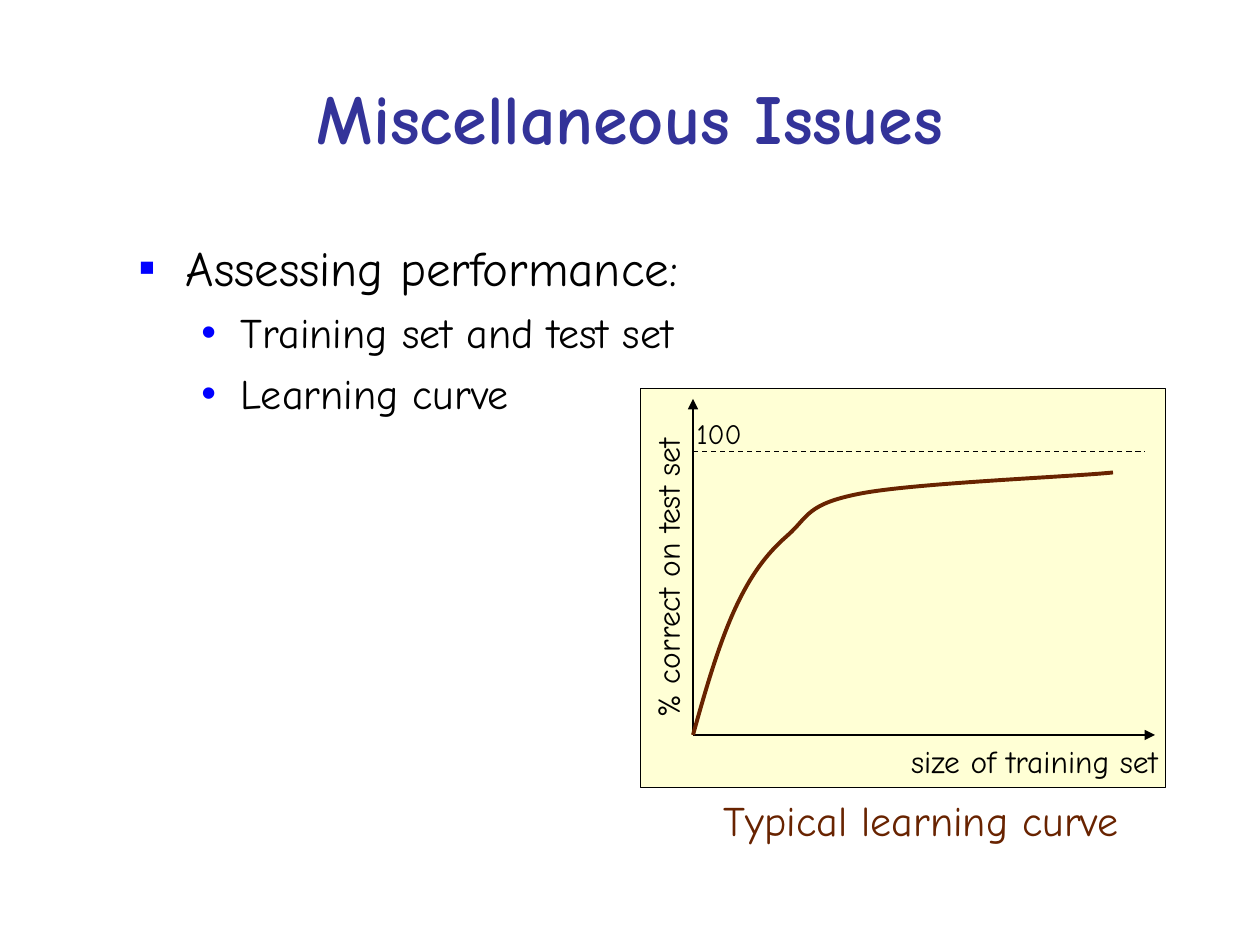
from lxml import etree
from pptx import Presentation
from pptx.dml.color import RGBColor
from pptx.enum.dml import MSO_LINE_DASH_STYLE as Dash
from pptx.enum.shapes import MSO_CONNECTOR as Connector, MSO_SHAPE as Shape
from pptx.enum.text import MSO_ANCHOR as Anchor, MSO_AUTO_SIZE as AutoSize, PP_ALIGN as Align
from pptx.oxml.ns import qn
from pptx.util import Pt

FONT = "Comic Neue"
BLACK, NAVY, BLUE, BROWN, CREAM = "000000", "333399", "0000FF", "682300", "FFFFD5"


def color(value):
    return RGBColor.from_string(value)


def place(shape, left, top, width, height):
    shape.left, shape.top = Pt(left), Pt(top)
    shape.width, shape.height = Pt(width), Pt(height)


def style(font, size, tint=BLACK, bold=False):
    font.name, font.size, font.bold = FONT, Pt(size), bold
    font.color.rgb = color(tint)


def set_line(shape, tint=BLACK, width=0.75):
    shape.line.color.rgb = color(tint)
    shape.line.width = Pt(width)


def add_title(slide, left, top, width, height):
    title = slide.shapes.title
    place(title, left, top, width, height)
    frame = title.text_frame
    frame.text = "Miscellaneous Issues"
    frame.vertical_anchor = Anchor.MIDDLE
    frame.paragraphs[0].alignment = Align.CENTER
    style(frame.paragraphs[0].runs[0].font, 40, NAVY, True)


def add_bullet(paragraph, mark, margin, hanging):
    props = paragraph._p.get_or_add_pPr()
    props.set("marL", str(Pt(margin)))
    props.set("indent", str(-Pt(hanging)))
    tint = etree.SubElement(props, qn("a:buClr"))
    etree.SubElement(tint, qn("a:srgbClr"), val=BLUE)
    etree.SubElement(props, qn("a:buFont"), typeface="Arial")
    etree.SubElement(props, qn("a:buChar"), char=mark)


def add_points(slide, left, top, width, height):
    frame = slide.shapes.add_textbox(Pt(left), Pt(top), Pt(width), Pt(height)).text_frame
    frame.word_wrap = True
    points = [(0, "Assessing performance:"),
              (1, "Training set and test set"),
              (1, "Learning curve")]
    levels = [("▪", 27, 27, 28), ("•", 58.5, 22.5, 24)]
    for index, (level, text) in enumerate(points):
        paragraph = frame.add_paragraph() if index else frame.paragraphs[0]
        paragraph.text = text
        paragraph.level = level
        mark, margin, hanging, size = levels[level]
        if index:
            paragraph.space_before = Pt(6)
        add_bullet(paragraph, mark, margin, hanging)
        style(paragraph.runs[0].font, size)


def add_label(shapes, text, left, top, width, height, size=18, tint=BLACK, rotation=0):
    label = shapes.add_textbox(Pt(left), Pt(top), Pt(width), Pt(height))
    label.rotation = rotation
    frame = label.text_frame
    frame.word_wrap = False
    frame.auto_size = AutoSize.SHAPE_TO_FIT_TEXT
    frame.text = text
    style(frame.paragraphs[0].runs[0].font, size, tint)


def add_rule(shapes, x1, y1, x2, y2, arrow=False):
    rule = shapes.add_connector(Connector.STRAIGHT, Pt(x1), Pt(y1), Pt(x2), Pt(y2))
    set_line(rule)
    if arrow:
        etree.SubElement(rule.line._get_or_add_ln(), qn("a:tailEnd"), type="triangle")
    else:
        rule.line.dash_style = Dash.DASH
    etree.SubElement(rule._element.spPr, qn("a:effectLst"))


def add_curve(shapes, x, y):
    # Offsets from the axes' origin: two control points, then an end point, per segment
    offsets = [(7.5, -27), (15, -52.5), (24, -72),
               (33, -91.5), (42, -103.5), (54, -114),
               (66, -124.5), (64.5, -132), (96, -138),
               (127.5, -144), (216, -147.5), (240, -150)]
    builder = shapes.build_freeform(Pt(x), Pt(y))
    builder.add_line_segments([(Pt(x + dx), Pt(y + dy)) for dx, dy in offsets], close=False)
    curve = builder.convert_to_shape()
    # Merge each three straight segments into one Bézier segment
    segments = list(curve._element.iter(qn("a:lnTo")))
    for first, second, third in zip(*[iter(segments)] * 3):
        first.tag = qn("a:cubicBezTo")
        for segment in (second, third):
            first.append(segment[0])
            segment.getparent().remove(segment)
    curve.fill.background()
    curve.shadow.inherit = False
    set_line(curve, BROWN, 2.25)


def add_learning_curve(slide, left, top, width, height):
    shapes = slide.shapes.add_group_shape().shapes
    # Panel
    panel = shapes.add_shape(Shape.RECTANGLE, Pt(left), Pt(top), Pt(width), Pt(height))
    panel.fill.solid()
    panel.fill.fore_color.rgb = color(CREAM)
    panel.shadow.inherit = False
    set_line(panel)
    # Axes, curve and upper limit
    x, y = left + 30, top + height - 30
    limit = y - 162
    add_rule(shapes, x, y, x, top + 6, arrow=True)
    add_rule(shapes, x, y, left + width - 6, y, arrow=True)
    add_curve(shapes, x, y)
    add_rule(shapes, x, limit, left + width - 12, limit)
    # Labels and caption
    add_label(shapes, "size of training set", x + 117.5, y + 0.5, 156, 29)
    add_label(shapes, "% correct on test set", x - 101.5, y - 104.5, 174, 29, rotation=270)
    add_label(shapes, "100", x - 5, limit - 23.5, 40, 27, size=16)
    add_label(shapes, "Typical learning curve", left + 40.5, top + height + 0.5, 240, 36,
              size=24, tint=BROWN)


def main():
    deck = Presentation()
    deck.slide_width, deck.slide_height = Pt(720), Pt(540)
    slide = deck.slides.add_slide(deck.slide_layouts[5])
    add_title(slide, 36, 21.6, 648, 90)
    add_points(slide, 72, 132, 612, 324)
    add_learning_curve(slide, 366, 222, 300, 228)
    deck.save("out.pptx")


if __name__ == "__main__":
    main()
